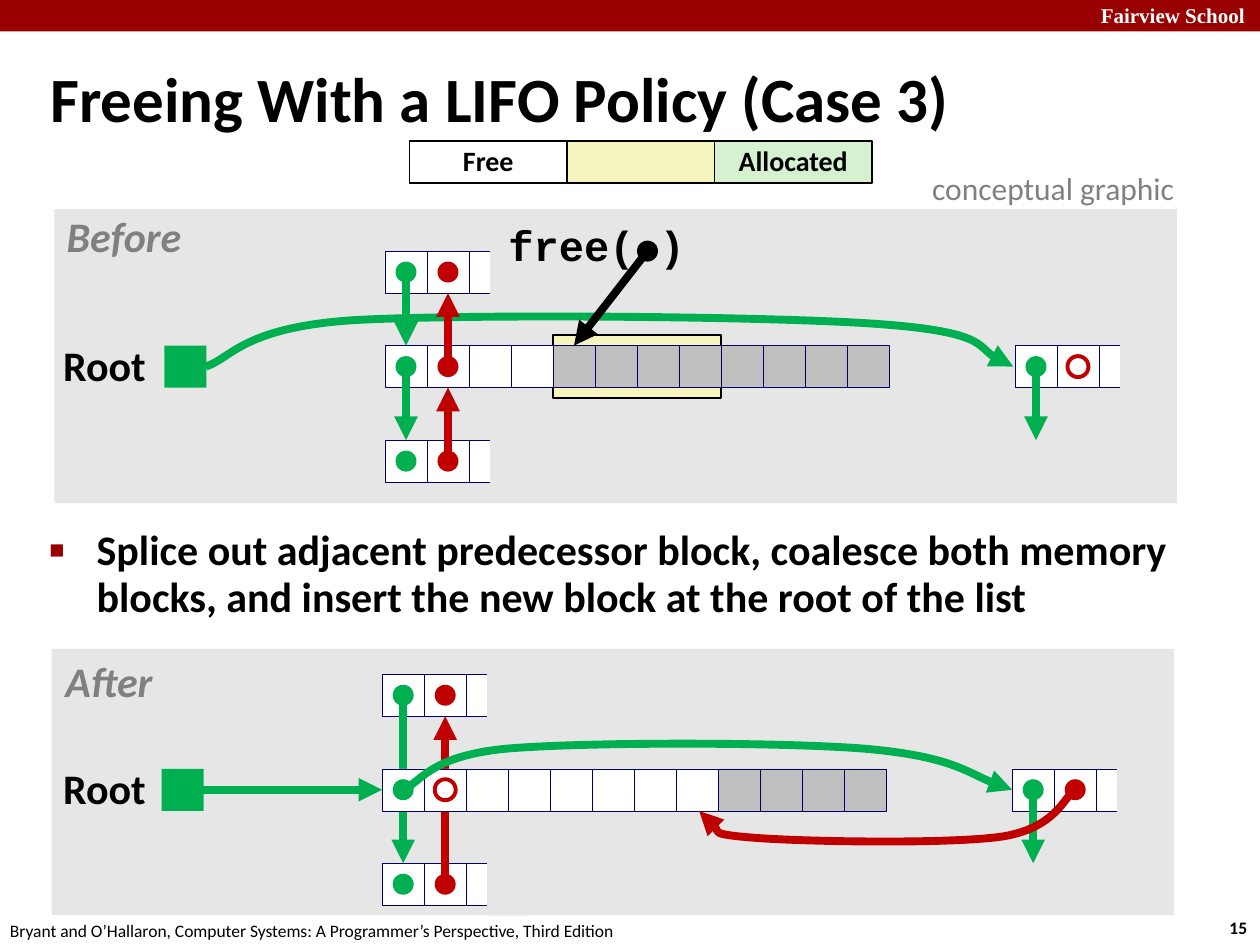
from lxml import etree
from pptx import Presentation
from pptx.dml.color import RGBColor
from pptx.enum import shapes as es, text as et
from pptx.oxml.ns import qn
from pptx.util import Pt

HUE = {
    "bar": "990000", "panel": "E6E6E6", "white": "FFFFFF", "black": "000000",
    "used": "C0C0C0", "edge": "000066", "next": "00B050", "prev": "C00000",
    "new": "F6F5BD", "taken": "D5F1CF", "dim": "808080",
}
CELL = 24
STEP = 54


def rgb(name):
    return RGBColor.from_string(HUE[name])


class Deck:
    def __init__(self):
        self.file = Presentation()
        self.file.slide_width, self.file.slide_height = Pt(720), Pt(540)
        self.slide = self.file.slides.add_slide(self.file.slide_layouts[1])
        self.shapes = self.slide.shapes

    def style(self, par, size, hue="black", bold=True, face="Calibri", slant=False):
        font = par.font
        font.name, font.size, font.bold, font.italic = face, Pt(size), bold, slant
        font.color.rgb = rgb(hue)

    def shape(self, x, y, w, h, fill=None, line=None, width=0.25, kind="RECTANGLE"):
        item = self.shapes.add_shape(getattr(es.MSO_SHAPE, kind), Pt(x), Pt(y), Pt(w), Pt(h))
        item.shadow.inherit = False
        if fill:
            item.fill.solid()
            item.fill.fore_color.rgb = rgb(fill)
        else:
            item.fill.background()
        if line:
            item.line.color.rgb = rgb(line)
            item.line.width = Pt(width)
        else:
            item.line.fill.background()
        return item

    def dot(self, x, y, hue):
        self.shape(x - 6, y - 6, 12, 12, hue, kind="OVAL")

    def ring(self, x, y):
        self.shape(x - 6, y - 6, 12, 12, line="prev", width=2.25, kind="OVAL")

    def cells(self, x, y, fills):
        return [self.shape(x + CELL * i, y, CELL, CELL, fill, "edge")
                for i, fill in enumerate(fills)]

    def stub(self, x, y):
        row = self.cells(x, y, ["white"] * 3)
        self.shape(x + 2.5 * CELL, y - 6, CELL, 36, "panel")
        return row

    def head(self, item, hue):
        item.line.color.rgb = rgb(hue)
        item.line.width = Pt(4.5)
        edge = item._element.spPr.find(qn("a:ln"))
        etree.SubElement(edge, qn("a:tailEnd"), type="triangle")

    def arrow(self, start, end, hue, goal=None, side=0):
        item = self.shapes.add_connector(
            es.MSO_CONNECTOR.STRAIGHT, *[Pt(v) for v in (*start, *end)])
        if goal is not None:
            item.end_connect(goal, side)
        self.head(item, hue)
        etree.SubElement(item._element.spPr, qn("a:effectLst"))

    def curve(self, points, hue):
        first, *rest = [(Pt(x), Pt(y)) for x, y in points]
        form = self.shapes.build_freeform(*first)
        form.add_line_segments(rest, close=False)
        item = form.convert_to_shape()
        item.shadow.inherit = False
        item.fill.background()
        self.head(item, hue)
        path = item._element.spPr.find(".//" + qn("a:path"))
        legs = path.findall(qn("a:lnTo"))
        for i in range(0, len(legs), 3):
            bend = etree.SubElement(path, qn("a:cubicBezTo"))
            for leg in legs[i:i + 3]:
                bend.append(leg[0])
                path.remove(leg)

    def text(self, words, x, y, w, h, size, wrap=False, pad=None, **look):
        item = self.shapes.add_textbox(Pt(x), Pt(y), Pt(w), Pt(h))
        frame = item.text_frame
        frame.word_wrap = wrap
        frame.auto_size = et.MSO_AUTO_SIZE.SHAPE_TO_FIT_TEXT
        par = frame.paragraphs[0]
        par.text = words
        if pad:
            frame.margin_left = frame.margin_right = Pt(pad)
            frame.margin_top = frame.margin_bottom = Pt(pad)
            par.alignment = et.PP_ALIGN.CENTER
            par.line_spacing = 0.9
        self.style(par, size, **look)

    def key(self, x, fill, words=None):
        item = self.shape(x, 80.6, 90, 24, fill, "black", 1)
        if words:
            frame = item.text_frame
            frame.word_wrap = False
            frame.vertical_anchor = et.MSO_ANCHOR.MIDDLE
            par = frame.paragraphs[0]
            par.text = words
            par.alignment = et.PP_ALIGN.CENTER
            par.line_spacing = 0.98
            self.style(par, 16)

    def holder(self, item, words, x, y, w, h, size, space):
        item.left, item.top, item.width, item.height = Pt(x), Pt(y), Pt(w), Pt(h)
        frame = item.text_frame
        frame.auto_size = et.MSO_AUTO_SIZE.NONE
        frame.word_wrap = True
        par = frame.paragraphs[0]
        par.text = words
        par.alignment = et.PP_ALIGN.LEFT
        par.line_spacing = space
        return frame, par

    def title(self, words):
        frame, par = self.holder(self.shapes.title, words, 21.6, 28, 686, 62, 36, 0.87)
        frame.vertical_anchor = et.MSO_ANCHOR.MIDDLE
        self.style(par, 36)

    def body(self, words):
        item = self.slide.placeholders[1]
        frame, par = self.holder(item, words, 21, 297.4, 654.5, 62, 24, 0.95)
        frame.vertical_anchor = et.MSO_ANCHOR.TOP
        par.space_before = Pt(5)
        props = par._p.get_or_add_pPr()
        props.set("marL", str(Pt(27)))
        props.set("indent", str(-Pt(27)))
        tint = etree.SubElement(props, qn("a:buClr"))
        etree.SubElement(tint, qn("a:srgbClr"), val=HUE["bar"])
        etree.SubElement(props, qn("a:buSzPct"), val="60000")
        etree.SubElement(props, qn("a:buChar"), char="■")
        self.style(par, 24)

    def root(self, x, y):
        self.shape(x - 126, y, CELL, CELL, "next")
        self.text("Root", 32.4, y - 4, 54.7, 34, 24, pad=3.6)


def before(deck):
    x, top = 220, 143.5
    mid, low = top + STEP, top + 2 * STEP
    left, right, far = x + 12, x + 36, x + 360
    deck.shape(31, 119.5, 641.5, 168, "panel")
    deck.shape(x + 96, mid - 6, 96, 36, "new", "black", 0.75)
    deck.curve([(117.5, 209.5), (131.8, 205.2), (138.2, 187.2), (201.6, 183),
                (265.7, 179.3), (436.3, 180.7), (499.7, 185),
                (562.3, 189.4), (562.3, 204.5), (579, 209.5)], "next")
    row = deck.cells(x, mid, ["white"] * 4 + ["used"] * 8)
    high, base = deck.stub(x, top), deck.stub(x, low)
    deck.stub(far, mid)
    for y, goal in ((top, row[0]), (mid, base[0])):
        deck.arrow((left, y + 12), (left, y + STEP), "next", goal)
    for y, goal in ((low, row[1]), (mid, high[1])):
        deck.arrow((right, y + 12), (right, y - 30), "prev", goal, 2)
    for y in (top, mid, low):
        deck.dot(left, y + 12, "next")
        deck.dot(right, y + 12, "prev")
    deck.dot(far + 12, mid + 12, "next")
    deck.arrow((far + 12, mid + 12), (far + 12, low), "next")
    deck.ring(far + 36, mid + 12)
    deck.root(x, mid)
    deck.text("free( )", 286.6, 125.3, 108.7, 34, 24, pad=3.6, face="Courier New")
    deck.dot(370, 143.5, "black")
    deck.arrow((370, 143.5), (328, mid), "black", row[4])
    deck.text("Before", 33.8, 120.2, 74.2, 34, 24, pad=3.6, hue="dim", slant=True)


def after(deck):
    x, top = 218.4, 385.3
    mid, low = top + STEP, top + 2 * STEP
    left, right, far = x + 12, x + 36, x + 360
    deck.shape(29.5, 370.8, 641.5, 152, "panel")
    high, base = deck.stub(x, top), deck.stub(x, low)
    deck.arrow((right, low + 12), (right, top + CELL), "prev", high[1], 2)
    deck.arrow((left, top + 12), (left, low), "next", base[0])
    row = deck.cells(x, mid, ["white"] * 8 + ["used"] * 4)
    deck.stub(far, mid)
    for y in (top, mid, low):
        deck.dot(left, y + 12, "next")
    for y in (top, low):
        deck.dot(right, y + 12, "prev")
    deck.ring(right, mid + 12)
    deck.dot(far + 12, mid + 12, "next")
    deck.arrow((far + 12, mid + 12), (far + 12, low), "next")
    deck.dot(far + 36, mid + 12, "prev")
    deck.root(x, mid)
    deck.arrow((110.4, mid + 12), (x, mid + 12), "next", row[0], 1)
    deck.curve([(230.4, 451.3), (240.5, 447), (245.5, 432), (289.4, 427.8),
                (333.4, 424), (445.7, 424), (493.9, 427.8),
                (542.2, 432), (561, 446.4), (578.4, 451.3)], "next")
    deck.curve([(614.4, 451.3), (607.7, 455.8), (603.4, 473), (573, 478),
                (543, 482.4), (460.8, 481), (432, 478.8),
                (403.2, 476.6), (406, 467.3), (399.6, 463.5)], "prev")
    deck.text("After", 33.1, 374.4, 58.3, 34, 24, pad=3.6, hue="dim", slant=True)


def main():
    deck = Deck()
    deck.shape(0, 0, 720, 18, "bar")
    deck.text("Fairview School", 622, -2, 103, 21.6, 12, wrap=True,
              hue="white", face="Times New Roman")
    deck.text("15", 695.5, 520.6, 26.6, 19.4, 10)
    deck.text("Bryant and O’Hallaron, Computer Systems: A Programmer’s Perspective, Third Edition",
              -1.4, 522, 365.8, 19.4, 10, bold=False)
    deck.title("Freeing With a LIFO Policy (Case 3)")
    deck.body("Splice out adjacent predecessor block, coalesce both memory blocks, "
              "and insert the new block at the root of the list")
    before(deck)
    after(deck)
    deck.text("conceptual graphic", 525.6, 92.9, 156.2, 28.8, 18, bold=False, hue="dim")
    deck.key(319, "new")
    deck.key(408.3, "taken", "Allocated")
    deck.key(234, "white", "Free")
    deck.file.save("out.pptx")


if __name__ == "__main__":
    main()
